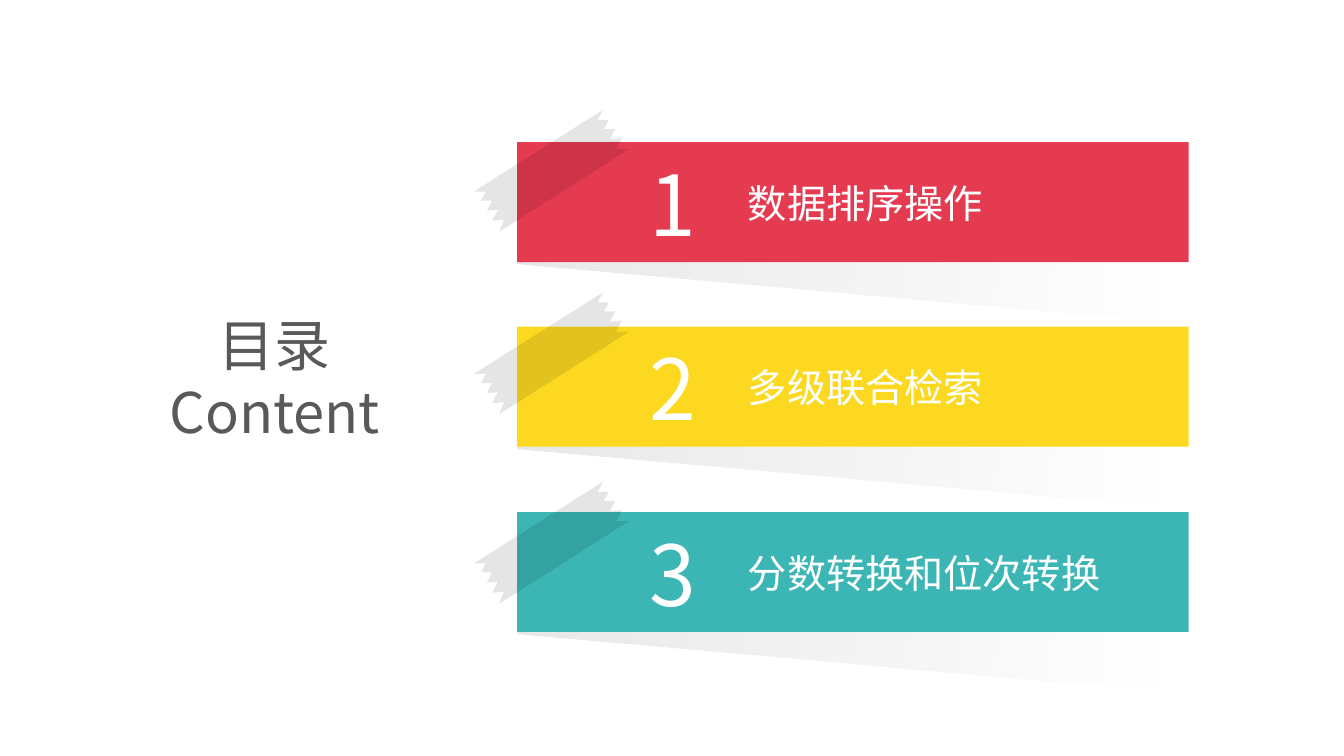
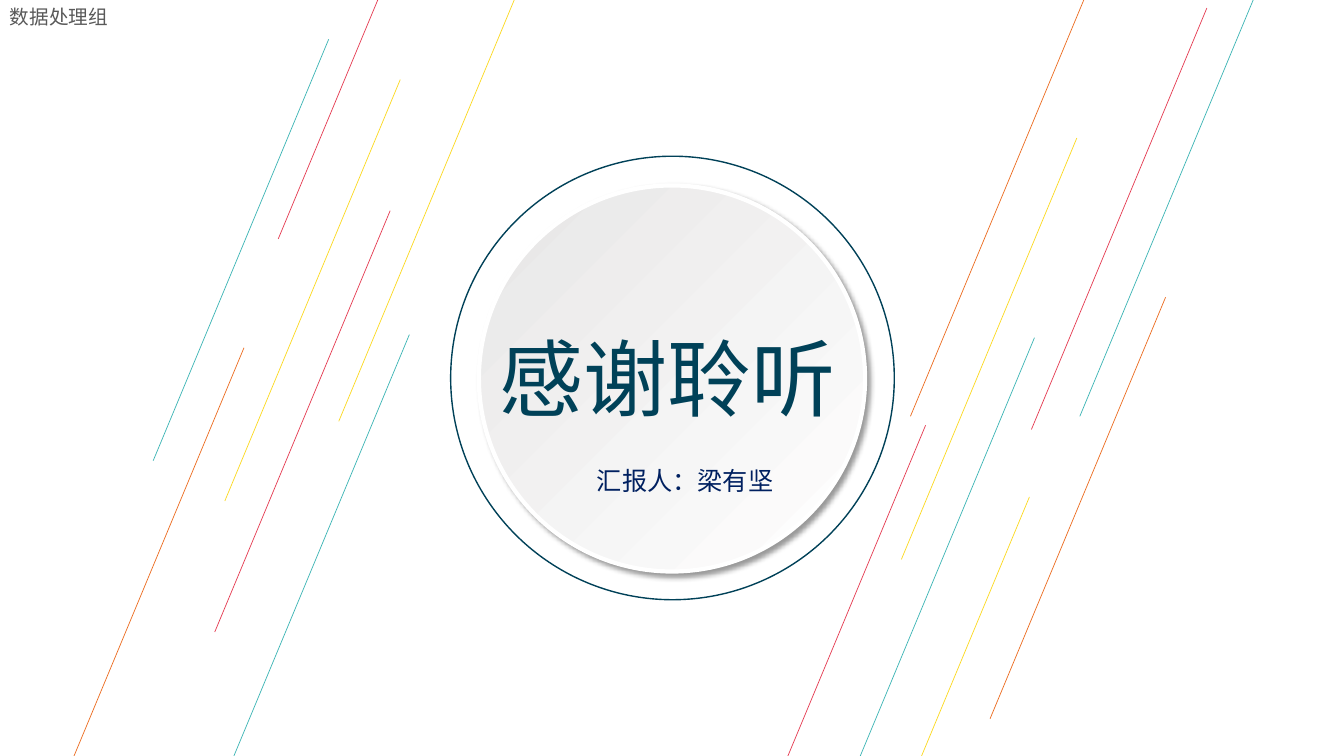
"""Build a contents slide and a closing slide."""
from dataclasses import dataclass

from lxml.etree import SubElement
from pptx import Presentation
from pptx.dml.color import RGBColor
from pptx.enum.shapes import MSO_CONNECTOR, MSO_SHAPE
from pptx.enum.text import MSO_ANCHOR, MSO_AUTO_SIZE, PP_ALIGN
from pptx.oxml.ns import qn
from pptx.util import Inches, Pt


@dataclass(frozen=True)
class Theme:
    red: str = "E53B51"
    gold: str = "FCD920"
    teal: str = "3CB5B5"
    rust: str = "EC6C20"
    navy: str = "004158"
    blue: str = "002060"
    gray: str = "595959"
    pale: str = "E7E6E6"
    white: str = "FFFFFF"
    black: str = "000000"
    head: str = "Noto Sans CJK JP"
    body: str = "Noto Sans CJK SC"
    huge: int = 60
    large: int = 40
    label: int = 28
    note: int = 18
    small: int = 14
    lead: float = 1.2


look = Theme()


def write(shape, box, text, size, color, face, align=PP_ALIGN.LEFT):
    shape.left, shape.top, shape.width, shape.height = map(Inches, box)
    shape.element.getparent().append(shape.element)
    frame = shape.text_frame
    frame.text = text
    frame.word_wrap = True
    frame.auto_size = MSO_AUTO_SIZE.NONE
    frame.vertical_anchor = MSO_ANCHOR.TOP
    for para in frame.paragraphs:
        para.alignment = align
        para.space_before = Pt(0)
        para.line_spacing = Pt(size * look.lead)
        for run in para.runs:
            run.font.size = Pt(size)
            run.font.name = face
            run.font.color.rgb = RGBColor.from_string(color)
            SubElement(run.font._element, qn("a:ea"), typeface=face)


def paint(shape, fills, line=None, width=1, alphas=()):
    shape.shadow.inherit = False
    if len(fills) == 2:
        shape.fill.gradient()
        for stop, color in zip(shape.fill.gradient_stops, fills):
            stop.color.rgb = RGBColor.from_string(color)
    elif fills:
        shape.fill.solid()
        shape.fill.fore_color.rgb = RGBColor.from_string(fills[0])
    else:
        shape.fill.background()
    for node, part in zip(shape.element.xpath(".//p:spPr//a:srgbClr"), alphas):
        SubElement(node, qn("a:alpha"), val=str(part * 1000))
    if line:
        shape.line.color.rgb = RGBColor.from_string(line)
        shape.line.width = Pt(width)
    else:
        shape.line.fill.background()


deck = Presentation()
deck.slide_width = Inches(13.33)
deck.slide_height = Inches(7.5)

page = deck.slides.add_slide(deck.slide_layouts[5])
shapes = page.shapes
write(shapes.title, (1.28, 3.03, 2.89, 1.45), "目录\nContent",
      look.large, look.gray, look.head, PP_ALIGN.CENTER)

rows = [
    (1.41, 1.09, look.red, "数据排序操作"),
    (3.24, 2.9, look.gold, "多级联合检索"),
    (5.08, 4.78, look.teal, "分数转换和位次转换"),
]
tape = [
    (4.7, 0.81), (5.98, 0), (5.93, 0.1), (6.04, 0.1), (5.99, 0.19),
    (6.1, 0.19), (6.05, 0.29), (6.17, 0.28), (6.11, 0.39), (6.24, 0.39),
    (4.95, 1.21), (5, 1.09), (4.88, 1.1), (4.94, 0.99), (4.83, 1),
    (4.88, 0.9), (4.77, 0.9), (4.82, 0.81),
]
for num, (top, peak, color, text) in enumerate(rows, 1):
    shade = shapes.add_shape(MSO_SHAPE.RECTANGLE, Inches(5.17),
                             Inches(top + 0.32), Inches(6.66), Inches(1.19))
    shade.rotation = 5.1
    paint(shade, (look.black, look.black), alphas=(10, 0))
    shade.fill.gradient_angle = 0

    bar = shapes.add_shape(MSO_SHAPE.RECTANGLE, Inches(5.13), Inches(top),
                           Inches(6.66), Inches(1.19))
    paint(bar, (color,))

    dots = [(Inches(x), Inches(peak + y)) for x, y in tape]
    pen = shapes.build_freeform(*dots[0])
    pen.add_line_segments(dots[1:], close=True)
    paint(pen.convert_to_shape(), (look.black,), alphas=(10,))

    write(shapes.add_textbox(0, 0, 0, 0), (6.34, top + 0.05, 0.58, 1.11),
          str(num), look.huge, look.white, look.head)
    write(shapes.add_textbox(0, 0, 0, 0), (7.32, top + 0.32, 4.17, 0.57),
          text, look.label, look.white, look.body)

page = deck.slides.add_slide(deck.slide_layouts[0])
shapes = page.shapes
ring = shapes.add_shape(MSO_SHAPE.OVAL, Inches(4.47), Inches(1.55),
                        Inches(4.4), Inches(4.4))
paint(ring, (), look.navy)

disc = shapes.add_shape(MSO_SHAPE.OVAL, Inches(4.75), Inches(1.84),
                        Inches(3.83), Inches(3.83))
paint(disc, (look.white, look.pale), look.white, 3)
disc.fill.gradient_angle = 135
glow = SubElement(disc.element.spPr.find(qn("a:effectLst")),
                  qn("a:outerShdw"), blurRad=str(Pt(4)), dist=str(Pt(3)),
                  dir="2700000", algn="tl", rotWithShape="0")
tint = SubElement(glow, qn("a:srgbClr"), val=look.black)
SubElement(tint, qn("a:alpha"), val="40000")

rays = {
    look.rust: [(10.77, -0.05), (2.42, 3.45), (11.56, 2.95)],
    look.gold: [(5.1, 0), (10.68, 1.37), (3.97, 0.79), (10.21, 4.93)],
    look.teal: [(4.06, 3.32), (10.26, 3.35), (3.26, 0.39), (12.45, -0.05)],
    look.red: [(3.87, 2.09), (11.97, 0.08), (4.5, -1.81), (9.18, 4.22)],
}
for color, starts in rays.items():
    for x, y in starts:
        ray = shapes.add_connector(MSO_CONNECTOR.STRAIGHT, Inches(x), Inches(y),
                                   Inches(x - 1.74), Inches(y + 4.18))
        ray.line.color.rgb = RGBColor.from_string(color)
        ray.line.width = Pt(0.5)
        SubElement(ray.element.spPr, qn("a:effectLst"))

write(shapes.title, (4.85, 3.19, 3.63, 1.11), "感谢聆听",
      look.huge, look.navy, look.head)
write(page.placeholders[1], (5.82, 4.57, 2.02, 0.4), "汇报人：梁有坚",
      look.note, look.blue, look.body)
write(shapes.add_textbox(0, 0, 0, 0), (0, 0, 4.17, 0.34), "数据处理组",
      look.small, look.gray, look.body)

deck.save("out.pptx")
